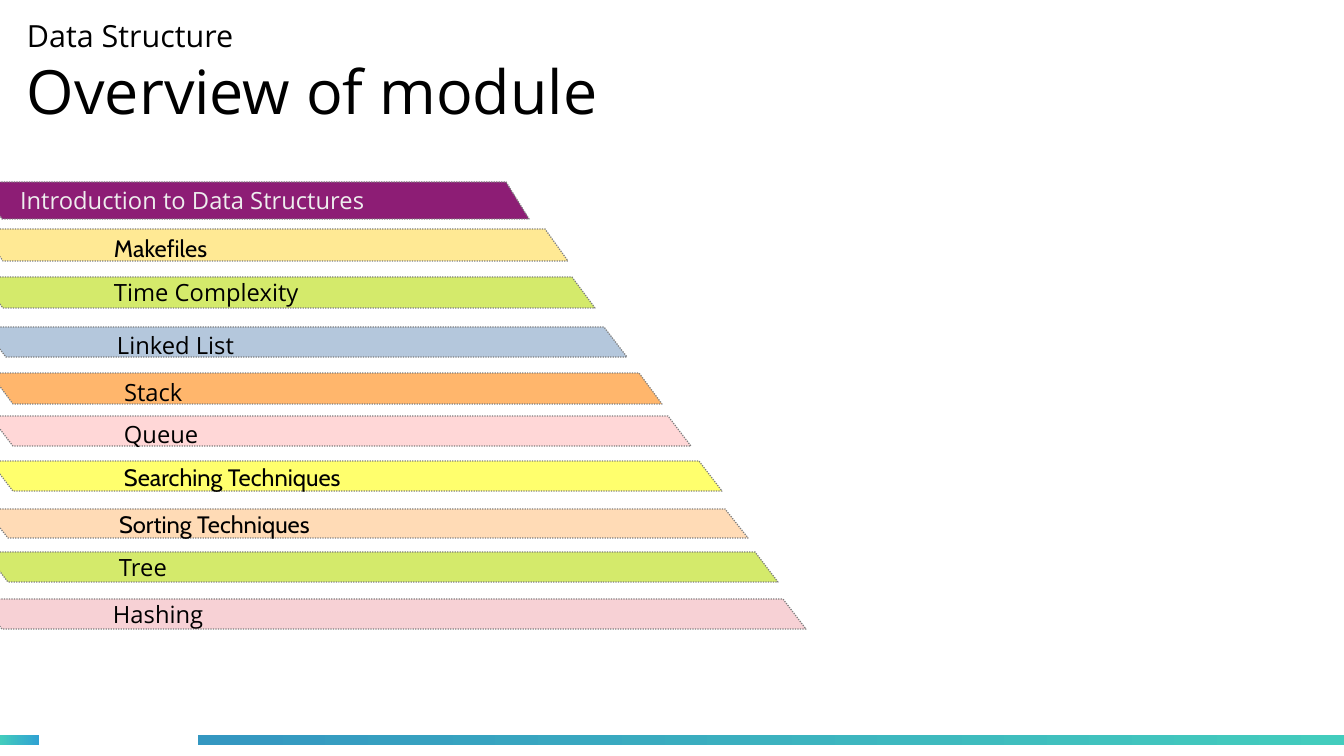
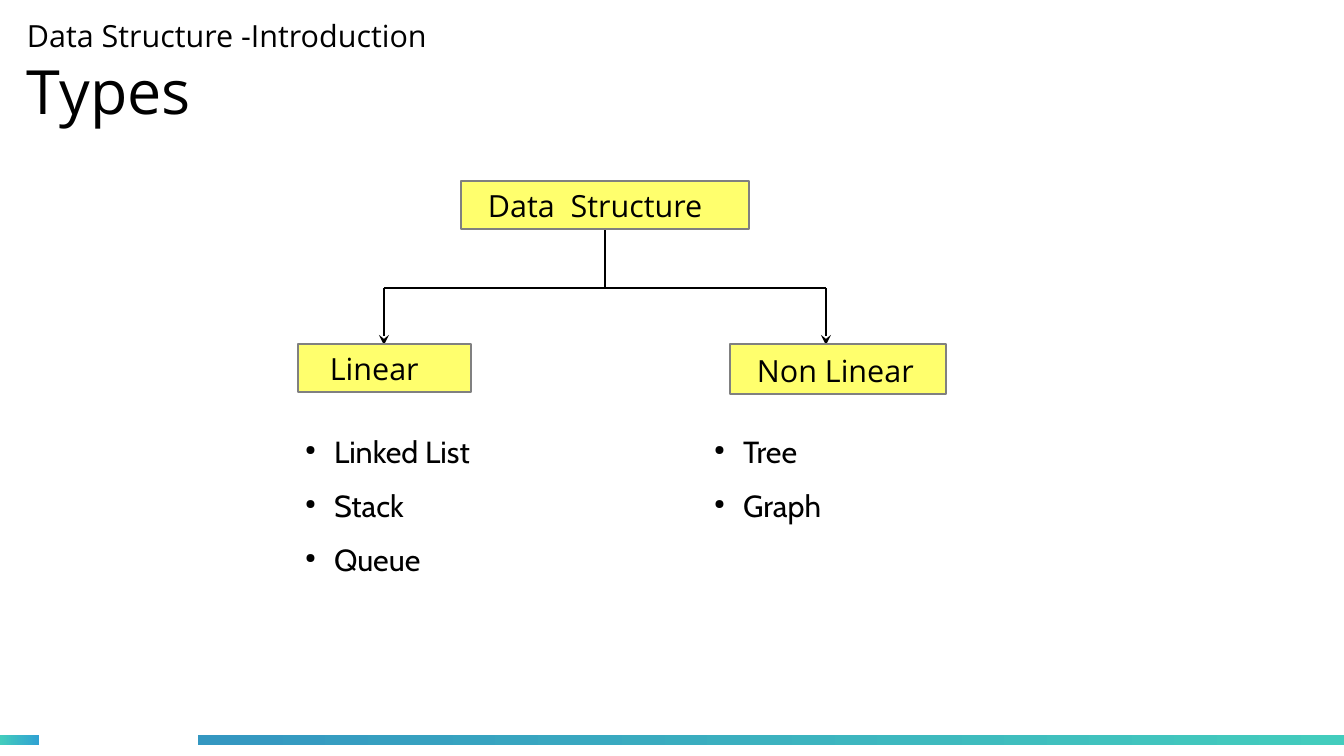
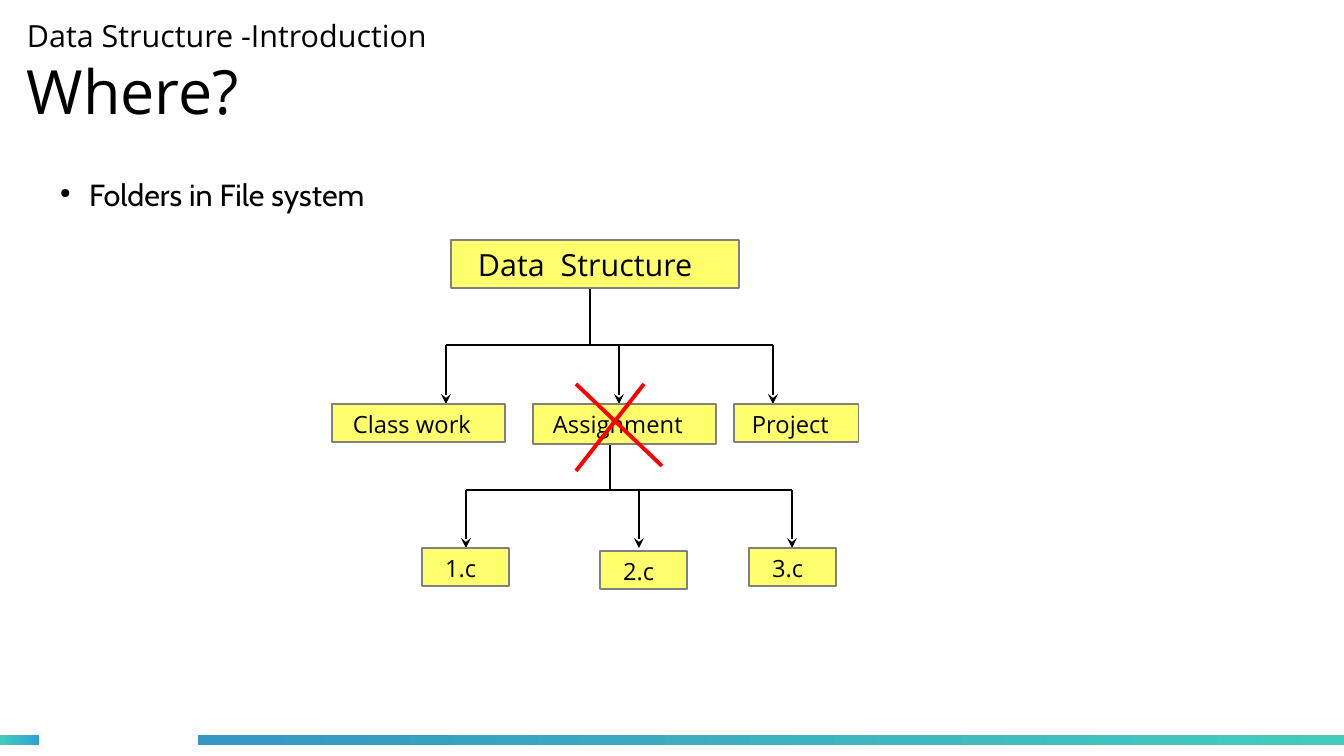
from lxml.etree import SubElement
from pptx import Presentation
from pptx.dml.color import RGBColor
from pptx.enum.dml import MSO_LINE
from pptx.enum.shapes import MSO_CONNECTOR as Connector, MSO_SHAPE as Preset
from pptx.enum.text import MSO_ANCHOR as Anchor, PP_ALIGN as Align
from pptx.oxml.ns import qn
from pptx.util import Pt

SCALE = 7495
WIDTH, HEIGHT = 1344, 756
SANS, CABIN = "Open Sans", "Cabin"
BAND_SLANT = 23
BAND_INDENT = 134
BULLET_INDENT = 29

COLORS = {
    "ink": "000000", "pale": "EEEEEE", "outline": "808080", "cross": "FF0000",
    "purple": "8D1D75", "sand": "FFE994", "lime": "D4EA6B", "steel": "B4C7DC",
    "orange": "FFB66C", "pink": "FFD7D7", "yellow": "FFFF6D", "peach": "FFDBB6",
    "rose": "F7D1D5", "teal": "43CCBD", "sky": "30A2D2", "blue": "3497C1",
}

FOOTER_BARS = [
    (0, 39, "teal", "sky"),
    (198, 1146, "blue", "teal"),
]

# text, font, text colour, fill, left, top, width, height, indent, drop
MODULES = [
    ("Introduction to Data Structures", SANS, "pale", "purple", -21, 182, 550, 37, 41, 0),
    ("Makefiles", CABIN, "ink", "sand", -20, 229, 588, 32, BAND_INDENT, 3),
    ("Time Complexity", SANS, "ink", "lime", -20, 277, 615, 31, BAND_INDENT, 0),
    ("Linked List", SANS, "ink", "steel", -17, 327, 644, 30, BAND_INDENT, 3),
    ("Stack", SANS, "ink", "orange", -10, 373, 672, 31, BAND_INDENT, 3),
    ("Queue", SANS, "ink", "pink", -10, 416, 701, 30, BAND_INDENT, 3),
    ("Searching Techniques", CABIN, "ink", "yellow", -10, 461, 732, 30, BAND_INDENT, 1),
    ("Sorting Techniques", CABIN, "ink", "peach", -15, 509, 763, 29, BAND_INDENT, 1),
    ("Tree", SANS, "ink", "lime", -15, 552, 793, 30, BAND_INDENT, 0),
    ("Hashing", SANS, "ink", "rose", -21, 599, 827, 30, BAND_INDENT, 0),
]

# nodes: text, size, left, top, width, height, indent, drop
# trees: trunk x, top, bus y, branch xs, bottom
PAGES = [
    {"topic": "Data Structure ", "title": "Overview of module", "bands": MODULES},
    {
        "topic": "Data Structure -Introduction", "title": "Types",
        "lists": [
            (293, 427, 221, 157, ["Linked List", "Stack", "Queue"]),
            (702, 427, 221, 106, ["Tree", "Graph"]),
        ],
        "trees": [(605, 229, 288, [384, 826], 345)],
        "nodes": [
            ("Data  Structure", 18, 461, 181, 288, 48, 27, 6),
            ("Linear", 18, 298, 344, 173, 48, 32, 6),
            ("Non Linear", 18, 730, 344, 216, 50, 27, 8),
        ],
    },
    {
        "topic": "Data Structure -Introduction", "title": "Where?",
        "lists": [(48, 170, 394, 54, ["Folders in File system"])],
        "trees": [
            (590, 288, 345, [446, 619, 773], 404),
            (610, 443, 490, [466, 639, 792], 548),
        ],
        "nodes": [
            ("Data  Structure", 18, 451, 240, 288, 48, 27, 6),
            ("Class work", 14, 332, 404, 173, 38, 21, 6),
            ("Assignment", 14, 533, 404, 183, 40, 20, 6),
            ("Project", 14, 734, 404, 125, 38, 18, 6),
            ("1.c", 14, 422, 548, 87, 38, 23, 6),
            ("2.c", 14, 600, 551, 87, 38, 23, 6),
            ("3.c", 14, 749, 548, 87, 38, 23, 6),
        ],
        "crosses": [(576, 471, 644, 384), (576, 384, 662, 466)],
    },
]


def px(*lengths):
    return [length * SCALE for length in lengths]


def rgb(name):
    return RGBColor.from_string(COLORS[name])


def add_span(para, text, size, font=SANS, color="ink"):
    span = para.add_run()
    span.text = text
    span.font.size = Pt(size)
    span.font.name = font
    span.font.color.rgb = rgb(color)


def set_frame(shape, left=0, top=0, right=0, bottom=0, anchor=Anchor.TOP):
    frame = shape.text_frame
    frame.word_wrap = True
    frame.vertical_anchor = anchor
    frame.margin_left, frame.margin_top, frame.margin_right, frame.margin_bottom = px(
        left, top, right, bottom)
    frame.paragraphs[0].alignment = Align.LEFT
    return frame


def paint(shape, fill):
    shape.shadow.inherit = False
    shape.fill.solid()
    shape.fill.fore_color.rgb = rgb(fill)
    shape.line.color.rgb = rgb("outline")
    shape.line.width = Pt(0)


def add_frame(page, topic, title):
    for left, width, start, end in FOOTER_BARS:
        bar = page.shapes.add_shape(Preset.RECTANGLE, *px(left, 735, width, 10))
        bar.shadow.inherit = False
        bar.line.fill.background()
        bar.fill.gradient()
        bar.fill.gradient_angle = 0
        for stop, color, position in zip(bar.fill.gradient_stops, (start, end), (0, 1)):
            stop.color.rgb = rgb(color)
            stop.position = position
    box = page.shapes.add_textbox(*px(27, 10, 937, 124))
    para = set_frame(box, anchor=Anchor.MIDDLE).paragraphs[0]
    add_span(para, topic, 18)
    para.add_line_break()
    add_span(para, title, 36)


def add_band(page, text, font, color, fill, left, top, width, height, indent, drop):
    right, bottom = left + width, top + height
    outline = page.shapes.build_freeform(left, top, scale=SCALE)
    outline.add_line_segments([
        (right - BAND_SLANT, top), (right, bottom), (left + BAND_SLANT, bottom)])
    band = outline.convert_to_shape()
    paint(band, fill)
    band.line.dash_style = MSO_LINE.ROUND_DOT
    frame = set_frame(band, left=indent, top=2 * drop, anchor=Anchor.MIDDLE)
    add_span(frame.paragraphs[0], text, 14, font, color)


def add_list(page, left, top, width, height, items):
    box = page.shapes.add_textbox(*px(left, top, width, height))
    frame = set_frame(box, 12, 6, 12, 6)
    for number, item in enumerate(items):
        para = frame.add_paragraph() if number else frame.paragraphs[0]
        para.space_after = Pt(10.4)
        props = para._p.get_or_add_pPr()
        props.set("marL", str(BULLET_INDENT * SCALE))
        props.set("indent", str(-BULLET_INDENT * SCALE))
        bullet_color = SubElement(props, qn("a:buClr"))
        SubElement(bullet_color, qn("a:srgbClr"), val=COLORS["ink"])
        SubElement(props, qn("a:buSzPct"), val="45000")
        SubElement(props, qn("a:buChar"), char="●")
        add_span(para, item, 18, CABIN)


def add_line(page, x1, y1, x2, y2, color="ink", weight=1.5, arrow=False):
    line = page.shapes.add_connector(Connector.STRAIGHT, *px(x1, y1, x2, y2))
    line.line.color.rgb = rgb(color)
    line.line.width = Pt(weight)
    if arrow:
        SubElement(line.line._get_or_add_ln(), qn("a:tailEnd"), type="stealth")
    SubElement(line._element.spPr, qn("a:effectLst"))


def add_tree(page, trunk, top, bus, branches, bottom):
    add_line(page, trunk, top, trunk, bus)
    add_line(page, branches[0], bus, branches[-1], bus)
    for branch in branches:
        add_line(page, branch, bus, branch, bottom, arrow=True)


def add_node(page, text, size, left, top, width, height, indent, drop):
    node = page.shapes.add_shape(Preset.RECTANGLE, *px(left, top, width, height))
    paint(node, "yellow")
    frame = set_frame(node, left=indent, top=drop)
    add_span(frame.paragraphs[0], text, size)


def add_cross(page, *ends):
    add_line(page, *ends, color="cross", weight=2.3)


PARTS = {"bands": add_band, "lists": add_list, "trees": add_tree,
         "nodes": add_node, "crosses": add_cross}


def main():
    deck = Presentation()
    deck.slide_width, deck.slide_height = px(WIDTH, HEIGHT)
    for content in PAGES:
        page = deck.slides.add_slide(deck.slide_layouts[6])
        add_frame(page, content["topic"], content["title"])
        for kind, add_part in PARTS.items():
            for part in content.get(kind, []):
                add_part(page, *part)
    deck.save("out.pptx")


if __name__ == "__main__":
    main()
